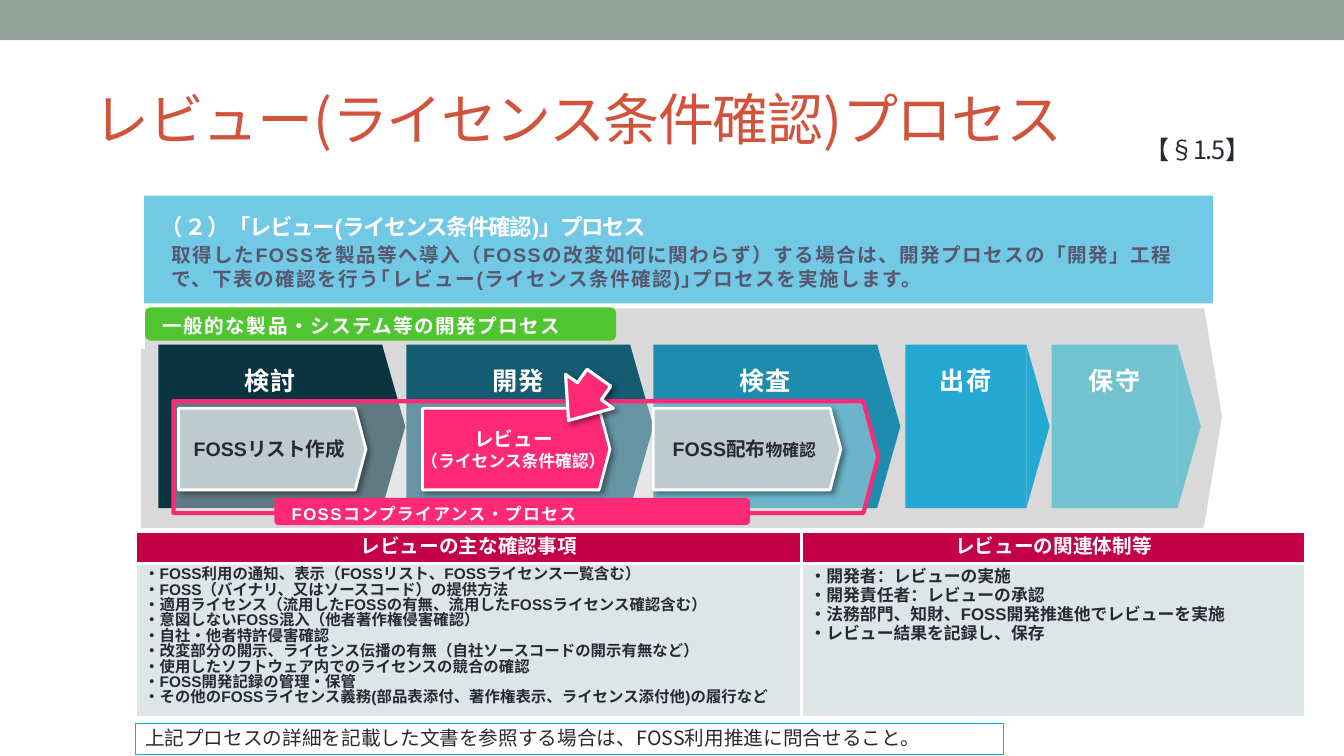
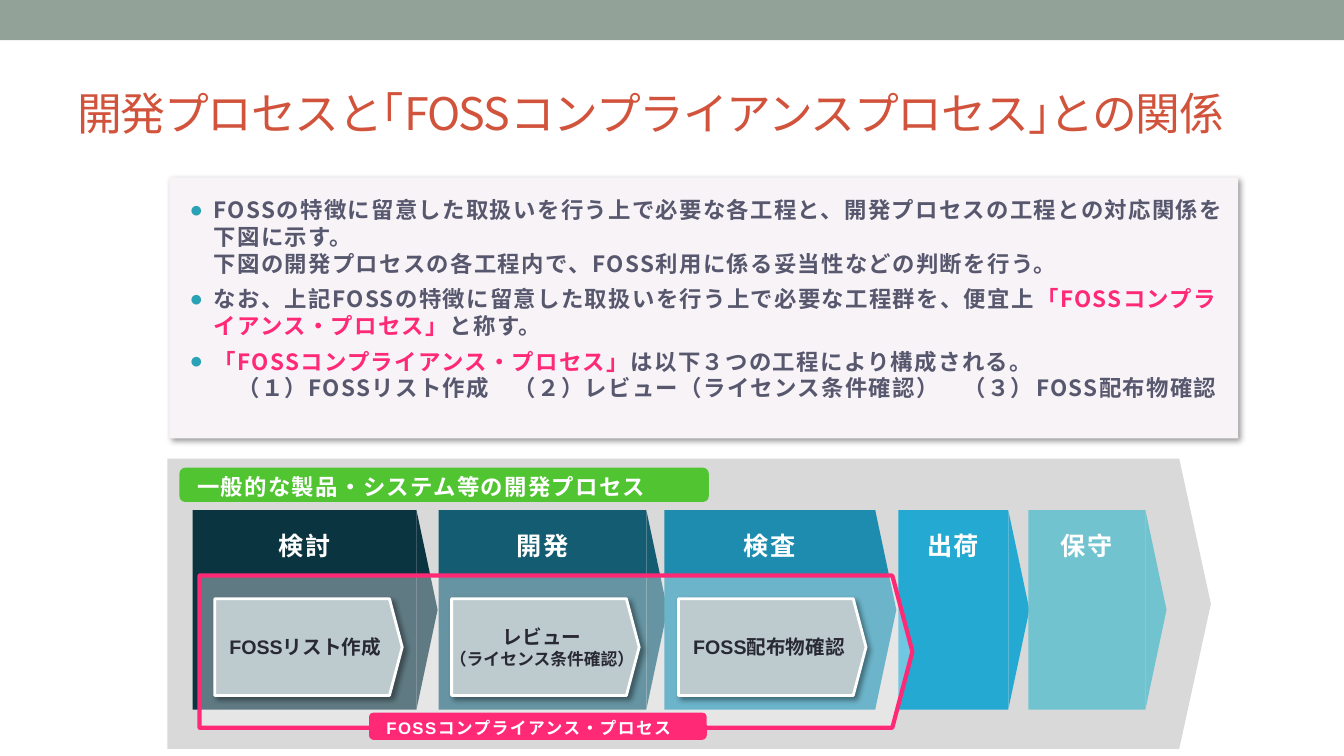
from collections import namedtuple

from lxml import etree
from pptx import Presentation
from pptx.dml.color import RGBColor
from pptx.enum.shapes import MSO_SHAPE
from pptx.enum.text import MSO_ANCHOR, PP_ALIGN
from pptx.oxml.ns import qn
from pptx.util import Inches, Pt

RECTANGLE = MSO_SHAPE.RECTANGLE
ROUNDED = MSO_SHAPE.ROUNDED_RECTANGLE
PENTAGON = MSO_SHAPE.PENTAGON
TRIANGLE = MSO_SHAPE.ISOSCELES_TRIANGLE
DOWN_ARROW = MSO_SHAPE.DOWN_ARROW
TOP, MIDDLE = MSO_ANCHOR.TOP, MSO_ANCHOR.MIDDLE
LEFT, CENTER = PP_ALIGN.LEFT, PP_ALIGN.CENTER

ARIAL, NOTO = "Arial", "Noto Sans CJK JP"
WHITE = RGBColor(0xFF, 0xFF, 0xFF)
BAND = RGBColor(0x93, 0xA2, 0x99)
TITLE = RGBColor(0xD2, 0x53, 0x3C)
DARK = RGBColor(0x29, 0x29, 0x34)
BODY = RGBColor(0x57, 0x57, 0x6E)
PINK = RGBColor(0xFF, 0x29, 0x75)
GREEN = RGBColor(0x51, 0xC5, 0x31)
SKY = RGBColor(0x71, 0xC9, 0xE5)
GREY = RGBColor(0xD9, 0xD9, 0xD9)
PALE = RGBColor(0xF7, 0xF3, 0xF7)
STEP = RGBColor(0xBD, 0xCB, 0xCE)
CRIMSON = RGBColor(0xC4, 0x00, 0x46)
CELL = RGBColor(0xDE, 0xE5, 0xE6)
BULLET = RGBColor(0x29, 0xA2, 0xB5)
NOTE_LINE = RGBColor(0x00, 0xB0, 0xF0)

PHASES = [
    ("検討", RGBColor(0x0B, 0x34, 0x41)),
    ("開発", RGBColor(0x14, 0x5C, 0x72)),
    ("検査", RGBColor(0x1E, 0x8C, 0xAE)),
    ("出荷", RGBColor(0x24, 0xA9, 0xD2)),
    ("保守", RGBColor(0x72, 0xC3, 0xD0)),
]
DEVELOPMENT = "一般的な製品・システム等の開発プロセス"
COMPLIANCE = "FOSSコンプライアンス・プロセス"
QUOTED_COMPLIANCE = "「FOSSコンプライアンス・プロセス」"
DEFAULT_INSETS = (0.1, 0.05, 0.1, 0.05)

Run = namedtuple("Run", "text size color font bold spacing", defaults=(ARIAL, True, 0))


class Deck:
    """Holds the shared style and the slide being built."""

    def __init__(self):
        self.presentation = Presentation()
        self.presentation.slide_width = Inches(13.33)
        self.presentation.slide_height = Inches(7.5)
        self.slide = None

    def new_slide(self):
        self.slide = self.presentation.slides.add_slide(self.presentation.slide_layouts[6])
        self.shape(RECTANGLE, (0, 0, 13.33, 0.4), BAND)

    def add_paragraphs(self, frame, paragraphs, align=LEFT, line_spacing=None, gap=0,
                       bullets=False):
        for index, runs in enumerate(paragraphs):
            paragraph = frame.add_paragraph() if index else frame.paragraphs[0]
            paragraph.alignment = align
            if bullets:
                self.bullet(paragraph)
            if line_spacing:
                paragraph.line_spacing = line_spacing
            if index and gap:
                paragraph.space_before = Pt(gap)
            for run in runs:
                self.add_run(paragraph, run)

    def add_run(self, paragraph, style):
        for index, line in enumerate(style.text.split("\n")):
            if index:
                paragraph.add_line_break()
            run = paragraph.add_run()
            run.text = line
            run.font.size = Pt(style.size)
            run.font.name = style.font
            run.font.bold = style.bold
            run.font.color.rgb = style.color
            properties = run._r.get_or_add_rPr()
            if style.spacing:
                properties.set("spc", str(style.spacing * 100))
            east_asian = etree.Element(qn("a:ea"), typeface=style.font)
            properties.find(qn("a:latin")).addnext(east_asian)

    def bullet(self, paragraph):
        properties = paragraph._p.get_or_add_pPr()
        properties.set("marL", str(Inches(0.24)))
        properties.set("indent", str(-Inches(0.24)))
        color = etree.SubElement(properties, qn("a:buClr"))
        etree.SubElement(color, qn("a:srgbClr"), val=str(BULLET))
        etree.SubElement(properties, qn("a:buFont"), typeface=ARIAL)
        etree.SubElement(properties, qn("a:buChar"), char="●")

    def frame(self, shape, insets, anchor, wrap):
        frame = shape.text_frame
        frame.word_wrap = wrap
        frame.vertical_anchor = anchor
        (frame.margin_left, frame.margin_top,
         frame.margin_right, frame.margin_bottom) = map(Inches, insets)
        return frame

    def text(self, box, paragraphs, insets=DEFAULT_INSETS, anchor=TOP, **layout):
        shape = self.slide.shapes.add_textbox(*map(Inches, box))
        self.add_paragraphs(self.frame(shape, insets, anchor, True), paragraphs, **layout)

    def shape(self, kind, box, fill=None, line=None, line_width=1, adjustments=(), rotation=0,
              shadow=False, opacity=None, paragraphs=(), insets=DEFAULT_INSETS,
              anchor=MIDDLE, wrap=True, parent=None, **layout):
        shapes = (parent or self.slide).shapes
        shape = shapes.add_shape(kind, *map(Inches, box))
        shape.shadow.inherit = False
        shape.rotation = rotation
        for index, value in enumerate(adjustments):
            shape.adjustments[index] = value
        if fill is None:
            shape.fill.background()
        else:
            shape.fill.solid()
            shape.fill.fore_color.rgb = fill
        if opacity:
            color = shape._element.spPr.find(qn("a:solidFill"))[0]
            etree.SubElement(color, qn("a:alpha"), val=str(opacity * 1000))
        if line is None:
            shape.line.fill.background()
        else:
            shape.line.color.rgb = line
            shape.line.width = Pt(line_width)
        if shadow:
            self.cast_shadow(shape)
        if paragraphs:
            self.add_paragraphs(self.frame(shape, insets, anchor, wrap), paragraphs, **layout)

    def cast_shadow(self, shape):
        effects = shape._element.spPr.find(qn("a:effectLst"))
        outer = etree.SubElement(effects, qn("a:outerShdw"), blurRad=str(Pt(4)),
                                 dist=str(Pt(3)), dir=str(45 * 60000), algn="tl",
                                 rotWithShape="0")
        color = etree.SubElement(outer, qn("a:srgbClr"), val="000000")
        etree.SubElement(color, qn("a:alpha"), val="40000")

    def title(self, box, text, size, color=TITLE):
        self.text(box, [[Run(text, size, color, NOTO, False, -1)]], anchor=MIDDLE)

    def label(self, box, text, size, fill, anchor=MIDDLE):
        self.shape(ROUNDED, box, fill, paragraphs=[[Run(text, size, WHITE, spacing=1)]],
                   insets=(0.16, 0.04, 0.16, 0), anchor=anchor)

    def background_arrow(self, box, point):
        self.shape(PENTAGON, box, GREY, adjustments=[point])

    def phases(self, top, height, spans, tip):
        for (name, color), (left, width) in zip(PHASES, spans):
            group = self.slide.shapes.add_group_shape()
            self.shape(RECTANGLE, (left, top, width, height), color, parent=group,
                       paragraphs=[[Run(name, 18, WHITE, spacing=1)]],
                       insets=(0, 0.2, 0, 0), anchor=TOP, align=CENTER)
            tip_left = left + width + tip / 2 - height / 2
            tip_top = top + height / 2 - tip / 2
            self.shape(TRIANGLE, (tip_left, tip_top, height, tip), color, rotation=90,
                       parent=group)

    def compliance_frame(self, box):
        self.shape(PENTAGON, box, WHITE, PINK, 3, [0.132], opacity=35)

    def step(self, left, top, height, paragraphs, fill=STEP):
        self.shape(PENTAGON, (left, top, 1.86, height), fill, WHITE, 2, [0.132], shadow=True,
                   paragraphs=paragraphs, wrap=False, align=CENTER)

    def table(self, box, widths, heights):
        shape = self.slide.shapes.add_table(len(heights), len(widths), *map(Inches, box))
        table = shape.table
        table.first_row = table.horz_banding = False
        for column, width in zip(table.columns, widths):
            column.width = Inches(width)
        for row, height in zip(table.rows, heights):
            row.height = Inches(height)
        return table

    def cell(self, cell, fill, paragraphs, **layout):
        cell.fill.solid()
        cell.fill.fore_color.rgb = fill
        cell.margin_left = cell.margin_right = Inches(0.08)
        cell.margin_top = cell.margin_bottom = Inches(0.04)
        self.add_paragraphs(cell.text_frame, paragraphs, **layout)
        properties = cell._tc.get_or_add_tcPr()
        for index, side in enumerate(("lnL", "lnR", "lnT", "lnB")):
            border = etree.Element(qn(f"a:{side}"), w=str(Pt(2.25)))
            solid = etree.SubElement(border, qn("a:solidFill"))
            etree.SubElement(solid, qn("a:srgbClr"), val=str(WHITE))
            properties.insert(index, border)


def review_steps(color):
    return [[Run("レビュー", 14, color)], [Run("（ライセンス条件確認）", 12, color)]]


def build_review(deck):
    deck.new_slide()
    deck.title((11.25, 0.94, 1.57, 1.08), "【§1.5】", 18, DARK)

    table = deck.table((1.35, 5.27, 11.6, 1.85), (6.6, 5), (0.32, 1.53))
    for column, heading in enumerate(("レビューの主な確認事項", "レビューの関連体制等")):
        deck.cell(table.cell(0, column), CRIMSON, [[Run(heading, 14, WHITE)]], align=CENTER)
    checks = [
        "・FOSS利用の通知、表示（FOSSリスト、FOSSライセンス一覧含む）",
        "・FOSS（バイナリ、又はソースコード）の提供方法",
        "・適用ライセンス（流用したFOSSの有無、流用したFOSSライセンス確認含む）",
        "・意図しないFOSS混入（他者著作権侵害確認）",
        "・自社・他者特許侵害確認",
        "・改変部分の開示、ライセンス伝播の有無（自社ソースコードの開示有無など）",
        "・使用したソフトウェア内でのライセンスの競合の確認",
        "・FOSS開発記録の管理・保管",
        "・その他のFOSSライセンス義務(部品表添付、著作権表示、ライセンス添付他)の履行など",
    ]
    roles = [
        "・開発者：レビューの実施",
        "・開発責任者：レビューの承認",
        "・法務部門、知財、FOSS開発推進他でレビューを実施",
        "・レビュー結果を記録し、保存",
    ]
    deck.cell(table.cell(1, 0), CELL, [[Run(check, 11, DARK)] for check in checks],
              line_spacing=Pt(11))
    deck.cell(table.cell(1, 1), CELL, [[Run(role, 12, DARK)] for role in roles])

    deck.shape(RECTANGLE, (1.43, 1.94, 10.6, 1.07), SKY)
    deck.text((1.62, 2.41, 10.29, 0.47), [[Run(
        "取得したFOSSを製品等へ導入（FOSSの改変如何に関わらず）する場合は、開発プロセスの「開発」工程で、"
        "下表の確認を行う｢レビュー(ライセンス条件確認)｣プロセスを実施します。",
        14, BODY, spacing=1)]], insets=(0.08, 0, 0.16, 0))
    deck.text((1.59, 2.07, 5.62, 0.31), [[
        Run("（２", 16, WHITE, spacing=1),
        Run("）「レビュー(ライセンス条件確認)」プロセス", 16, WHITE, spacing=-1),
    ]], insets=(0, 0.04, 0.08, 0))

    deck.background_arrow((1.4, 3.46, 10.68, 1.78), 0.082)
    deck.background_arrow((1.44, 3.06, 10.68, 2.15), 0.082)
    deck.label((1.44, 3.05, 4.67, 0.33), DEVELOPMENT, 14, GREEN)
    deck.phases(3.42, 1.62, [(1.57, 2.22), (4.03, 2.22), (6.48, 2.22), (8.98, 1.2),
                             (10.43, 1.25)], 0.23)
    deck.compliance_frame((1.72, 3.98, 6.99, 1.11))
    deck.step(1.77, 4.05, 0.81, [[Run("FOSSリスト作成", 14, DARK)]])
    deck.step(4.19, 4.05, 0.81, review_steps(WHITE), PINK)
    deck.step(6.48, 4.05, 0.81, [[Run("FOSS配布", 14, DARK), Run("物確認", 12, DARK)]])
    deck.label((2.72, 4.94, 4.72, 0.27), COMPLIANCE, 12, PINK)
    deck.shape(DOWN_ARROW, (5.5, 3.7, 0.58, 0.52), PINK, WHITE, 2.25, [0.5, 0.684],
               rotation=35.4, shadow=True)
    deck.title((0.83, 0.63, 12, 1.08), "レビュー(ライセンス条件確認)プロセス", 40)
    deck.shape(RECTANGLE, (1.34, 7.18, 8.61, 0.31), line=NOTE_LINE, line_width=0.75,
               paragraphs=[[Run("上記プロセスの詳細を記載した文書を参照する場合は、FOSS利用推進に問合せること。",
                                14, DARK, NOTO, False)]],
               anchor=TOP, line_spacing=0.9)


def build_relation(deck):
    deck.new_slide()
    deck.title((0.67, 0.58, 12, 1.08),
               "開発プロセスと｢FOSSコンプライアンスプロセス｣との関係", 32)
    deck.background_arrow((1.66, 4.55, 10.35, 2.88), 0.109)
    deck.phases(5.06, 1.98, [(1.91, 2.22), (4.35, 2.06), (6.59, 2.09), (8.91, 1.09),
                             (10.2, 1.16)], 0.21)
    deck.label((1.78, 4.64, 5.25, 0.34), DEVELOPMENT, 16, GREEN, TOP)
    deck.compliance_frame((1.98, 5.71, 7.07, 1.51))
    deck.step(2.13, 5.94, 0.96, [[Run("FOSSリスト作成", 14, DARK)]])
    deck.step(4.48, 5.94, 0.96, review_steps(DARK))
    deck.step(6.73, 5.94, 0.96, [[Run("FOSS配布物確認", 14, DARK)]])
    deck.label((3.66, 7.07, 3.35, 0.27), COMPLIANCE, 12, PINK)

    deck.shape(RECTANGLE, (1.68, 1.76, 10.6, 2.59), PALE, shadow=True)
    points = [
        [("FOSSの特徴に留意した取扱いを行う上で必要な各工程と、開発プロセスの工程との対応関係を\n"
          "下図に示す。\n下図の開発プロセスの各工程内で、FOSS利用に係る妥当性などの判断を行う。", BODY)],
        [("なお、上記FOSSの特徴に留意した取扱いを行う上で必要な工程群を、便宜上", BODY),
         (QUOTED_COMPLIANCE, PINK), ("と称す。", BODY)],
        [(QUOTED_COMPLIANCE, PINK),
         ("は以下３つの工程により構成される。\n"
          "　（１）FOSSリスト作成　（２）レビュー（ライセンス条件確認）　（３）FOSS配布物確認", BODY)],
    ]
    deck.text((1.8, 1.95, 10.59, 2.3),
              [[Run(text, 16, color, NOTO, spacing=1) for text, color in point]
               for point in points],
              insets=(0.08, 0, 0.16, 0), gap=6, bullets=True)


def main():
    deck = Deck()
    build_review(deck)
    build_relation(deck)
    deck.presentation.save("out.pptx")


if __name__ == "__main__":
    main()
